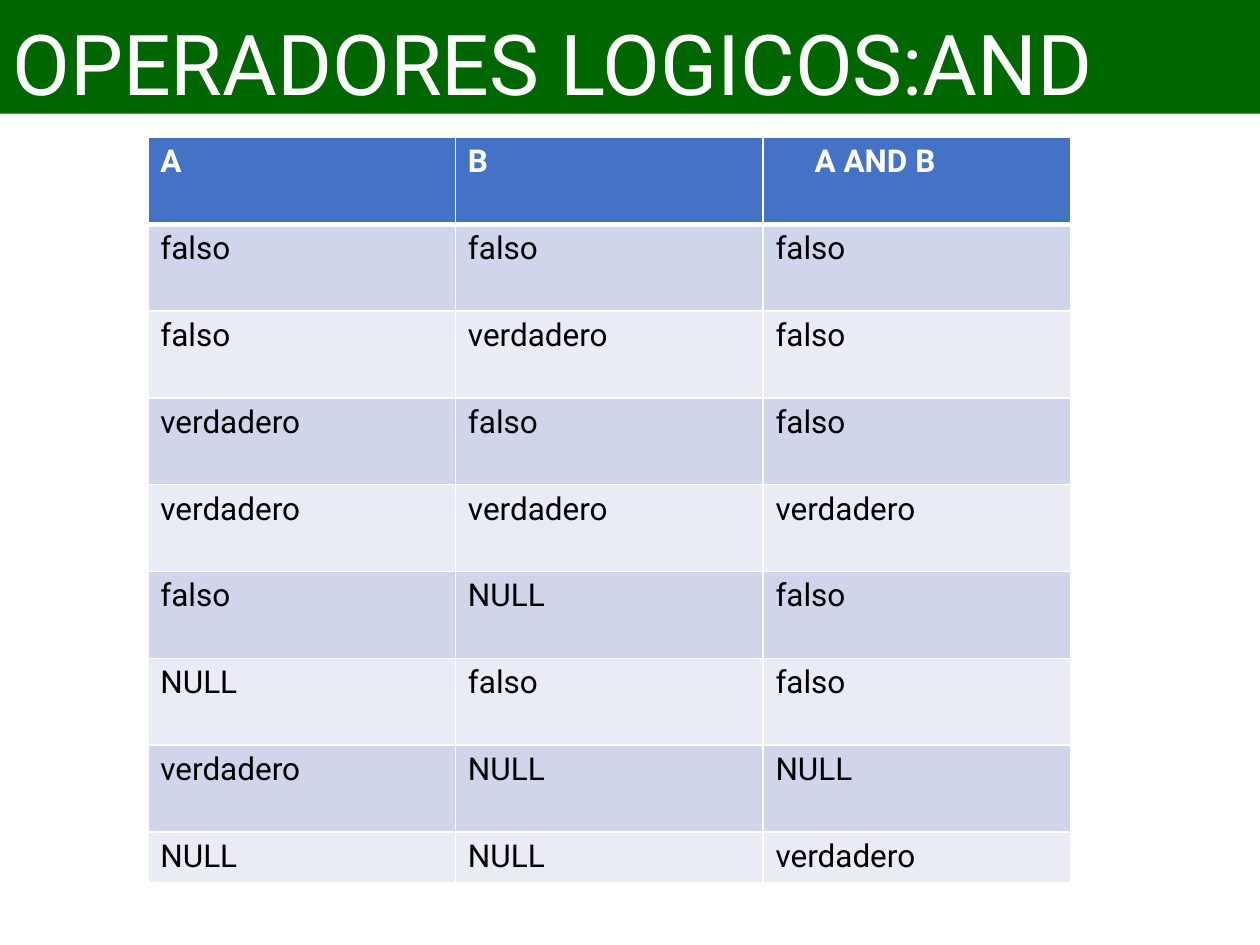
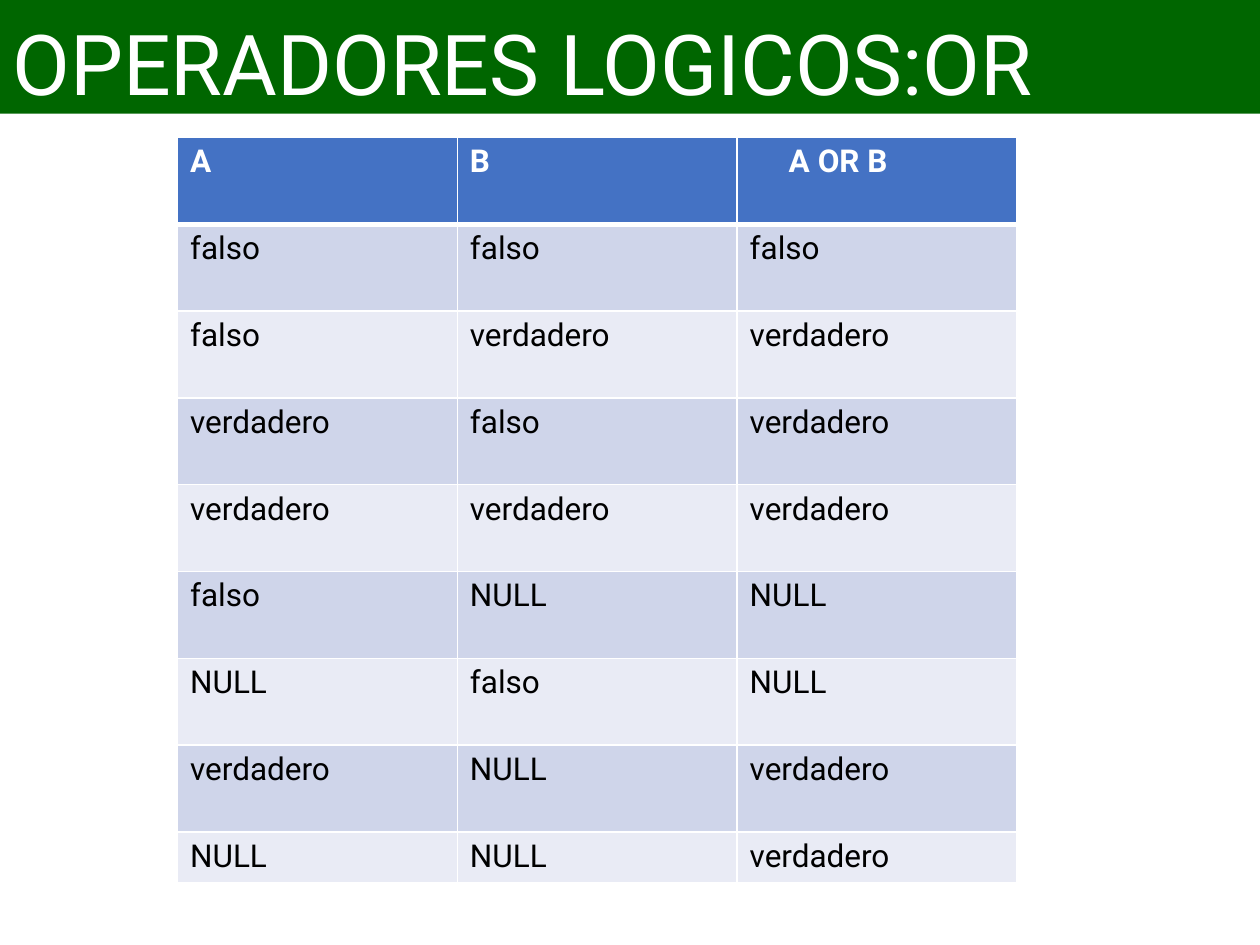
from dataclasses import dataclass

from pptx import Presentation
from pptx.dml.color import RGBColor
from pptx.enum.text import MSO_ANCHOR, MSO_AUTO_SIZE, PP_ALIGN
from pptx.oxml.ns import qn
from pptx.slide import Slide
from pptx.table import _Cell
from pptx.text.text import TextFrame
from pptx.util import Cm, Pt
from lxml import etree

MIDDLE = MSO_ANCHOR.MIDDLE
NO_AUTOFIT = MSO_AUTO_SIZE.NONE
LEFT = PP_ALIGN.LEFT

# Shared look
FONT = "Roboto"
WHITE, BLACK = "FFFFFF", "000000"
GREEN, BLUE = "006600", "4472C4"
STRIPES = ("CFD5EA", "E9EBF5")
TITLE_FORMAT = {"name": FONT, "size": Pt(48), "bold": False}
HEADER_FORMAT = {"name": FONT, "size": Pt(18), "bold": True}
BODY_FORMAT = {"name": FONT, "size": Pt(18), "bold": False}

# Shared geometry, in centimetres
SLIDE_W, SLIDE_H = 25.4, 19.05
BAND_H = 2.29
TABLE_TOP = 2.77
ROW_H, LAST_ROW_H = 1.75, 1.03
RESULT_HEADER_MARGIN = 1.04

# Operand pairs, common to both truth tables
F, V, N = "falso", "verdadero", "NULL"
OPERANDS = ((F, F), (F, V), (V, F), (V, V), (F, N), (N, F), (V, N), (N, N))


@dataclass
class TruthTable:
    operator: str
    left: float
    col_width: float
    results: tuple[str, ...]


TRUTH_TABLES = (
    TruthTable("AND", 2.98, 6.2, (F, F, F, V, F, F, N, V)),
    TruthTable("OR", 3.58, 5.64, (F, V, V, V, N, N, V, V)),
)


def rgb(value: str) -> RGBColor:
    return RGBColor.from_string(value)


def write(tf: TextFrame, text: str, font_format: dict, color: str) -> None:
    p = tf.paragraphs[0]
    p.alignment = LEFT
    r = p.add_run()
    r.text = text
    for name, value in font_format.items():
        setattr(r.font, name, value)
    r.font.color.rgb = rgb(color)


def set_borders(cell: _Cell, top: float = 1, bottom: float = 1) -> None:
    tc_pr = cell._tc.get_or_add_tcPr()
    for side, width in {"L": 1, "R": 1, "T": top, "B": bottom}.items():
        ln = etree.SubElement(tc_pr, qn(f"a:ln{side}"), w=str(Pt(width)))
        fill = etree.SubElement(ln, qn("a:solidFill"))
        etree.SubElement(fill, qn("a:srgbClr"), val=WHITE)


def add_title(slide: Slide, text: str) -> None:
    sp = slide.shapes.title
    box = {"left": 0, "top": 0, "width": SLIDE_W, "height": BAND_H}
    for name, value in box.items():
        setattr(sp, name, Cm(value))
    sp.fill.solid()
    sp.fill.fore_color.rgb = rgb(GREEN)
    tf = sp.text_frame
    frame_format = {"auto_size": NO_AUTOFIT, "vertical_anchor": MIDDLE,
                    "word_wrap": True, "margin_top": Cm(0.2), "margin_bottom": 0}
    for name, value in frame_format.items():
        setattr(tf, name, value)
    write(tf, text, TITLE_FORMAT, WHITE)


def add_truth_table(slide: Slide, spec: TruthTable) -> None:
    rows = [("A", "B", f"A {spec.operator} B")]
    rows += [(*pair, result) for pair, result in zip(OPERANDS, spec.results)]
    heights = [ROW_H] * len(OPERANDS) + [LAST_ROW_H]
    n_cols = len(rows[0])
    table = slide.shapes.add_table(
        len(rows), n_cols, Cm(spec.left), Cm(TABLE_TOP),
        Cm(spec.col_width * n_cols), Cm(sum(heights))).table
    for col in table.columns:
        col.width = Cm(spec.col_width)

    for i, (values, height) in enumerate(zip(rows, heights)):
        table.rows[i].height = Cm(height)
        header = i == 0
        for j, value in enumerate(values):
            cell = table.cell(i, j)
            # The rule under the header is thicker
            set_borders(cell, top=3 if i == 1 else 1, bottom=3 if header else 1)
            cell.fill.solid()
            cell.fill.fore_color.rgb = rgb(BLUE if header else STRIPES[(i - 1) % 2])
            write(cell.text_frame, value, HEADER_FORMAT if header else BODY_FORMAT,
                  WHITE if header else BLACK)
    table.cell(0, n_cols - 1).margin_left = Cm(RESULT_HEADER_MARGIN)


def main() -> None:
    prs = Presentation()
    prs.slide_width, prs.slide_height = Cm(SLIDE_W), Cm(SLIDE_H)
    title_only = prs.slide_layouts.get_by_name("Title Only")
    for spec in TRUTH_TABLES:
        slide = prs.slides.add_slide(title_only)
        add_title(slide, f"OPERADORES LOGICOS:{spec.operator}")
        add_truth_table(slide, spec)
    prs.save("out.pptx")


if __name__ == "__main__":
    main()
